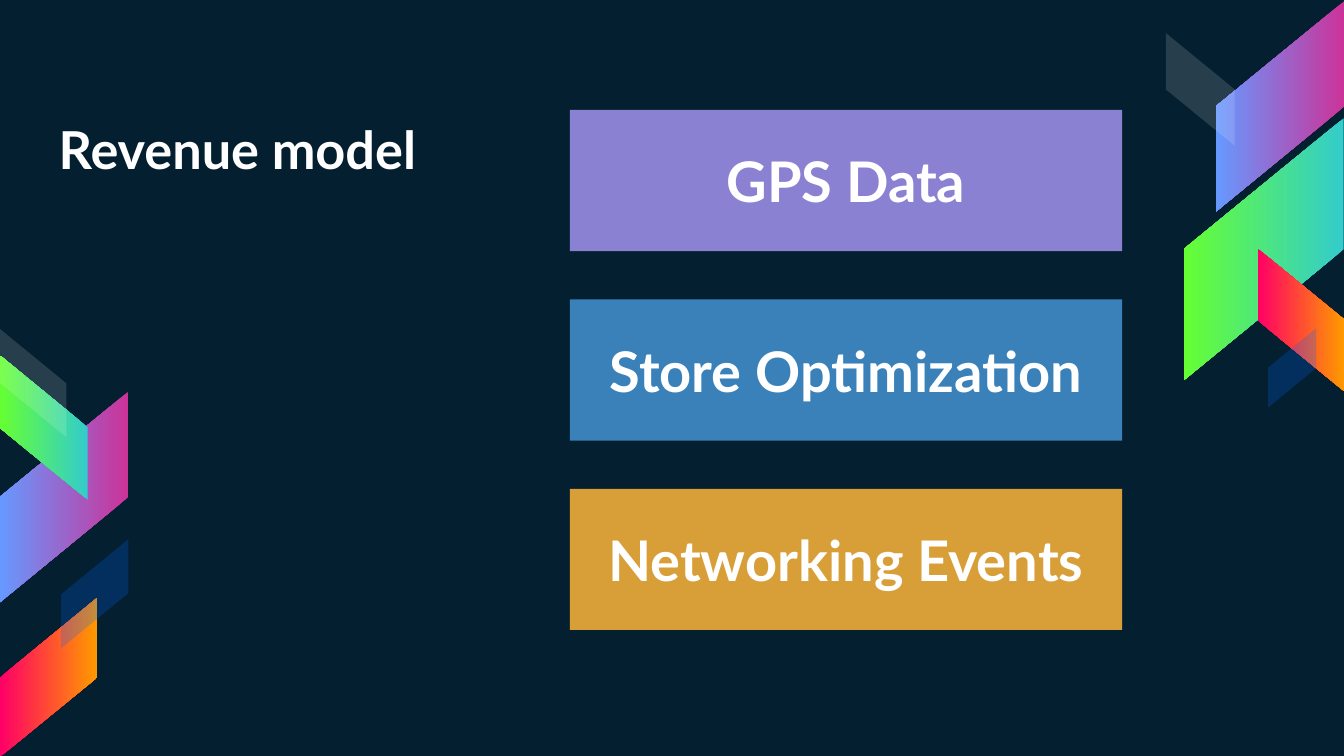
"""Build the revenue model slide with three bars and ribbon decorations."""
from dataclasses import dataclass
from typing import Any, Optional

import lxml.etree
import pptx
import pptx.dml.color
import pptx.enum.shapes
import pptx.enum.text
import pptx.oxml.ns
import pptx.util

Cm = pptx.util.Cm
RGBColor = pptx.dml.color.RGBColor
Kind = pptx.enum.shapes.MSO_SHAPE
Align = pptx.enum.text.PP_ALIGN
Anchor = pptx.enum.text.MSO_ANCHOR

NAVY = RGBColor(0x04, 0x1F, 0x30)
WHITE = RGBColor(0xFF, 0xFF, 0xFF)
VIOLET = RGBColor(0x8B, 0x81, 0xD2)
BLUE = RGBColor(0x3A, 0x81, 0xBA)
GOLD = RGBColor(0xD8, 0x9F, 0x39)
PINK = RGBColor(0xCC, 0x33, 0x99)
SKY = RGBColor(0x66, 0x99, 0xFF)
TEAL = RGBColor(0x33, 0xCC, 0xCC)
LIME = RGBColor(0x66, 0xFF, 0x33)
RED = RGBColor(0xFF, 0x00, 0x66)
AMBER = RGBColor(0xFF, 0x99, 0x00)
COBALT = RGBColor(0x00, 0x66, 0xFF)

FONT = {"name": "Lato", "bold": True}
FRAME = {
    "word_wrap": True,
    "auto_size": pptx.enum.text.MSO_AUTO_SIZE.NONE,
    **{f"margin_{side}": Cm(0.25) for side in ("left", "right", "top", "bottom")},
}


@dataclass(frozen=True)
class Paint:
    first: RGBColor
    last: Optional[RGBColor] = None
    alpha: int = 100


@dataclass(frozen=True)
class Ribbon:
    left: float
    top: float
    width: float
    height: float
    turn: int
    flip: bool
    paint: Paint


@dataclass(frozen=True)
class Bar:
    text: str
    color: RGBColor


DUSK = Paint(PINK, SKY)
MINT = Paint(TEAL, LIME)
FIRE = Paint(RED, AMBER)
MIST = Paint(WHITE, alpha=14)
DEEP = Paint(COBALT, alpha=23)

RIBBONS = (
    Ribbon(22.2, 0.79, 3.99, 2.44, 90, True, DUSK),
    Ribbon(21.41, 3.2, 4.95, 3.02, 90, True, MINT),
    Ribbon(23.24, 5.23, 2.69, 1.63, 270, False, FIRE),
    Ribbon(21.62, 1.04, 2.13, 1.3, 270, False, MIST),
    Ribbon(23.67, 6.5, 1.5, 0.91, 270, True, DEEP),
    Ribbon(-0.79, 8.18, 3.99, 2.44, 90, True, DUSK),
    Ribbon(-0.53, 7.26, 2.72, 1.65, 90, False, MINT),
    Ribbon(-0.58, 11.89, 3, 1.83, 270, True, FIRE),
    Ribbon(-0.41, 6.6, 2.06, 1.27, 270, False, MIST),
    Ribbon(0.76, 10.59, 2.06, 1.27, 270, True, DEEP),
)
BARS = (
    Bar("GPS Data", VIOLET),
    Bar("Store Optimization", BLUE),
    Bar("Networking Events", GOLD),
)


def apply(target: Any, values: dict[str, Any]) -> None:
    """Set each named attribute on the target."""
    for name, value in values.items():
        setattr(target, name, value)


def write(shape: Any, text: str, size: int, align: Any, anchor: Any) -> None:
    """Put one formatted line of text into a shape."""
    frame = shape.text_frame
    frame.text = text
    apply(frame, {**FRAME, "vertical_anchor": anchor})
    line = frame.paragraphs[0]
    line.alignment = align
    font = line.runs[0].font
    apply(font, {**FONT, "size": pptx.util.Pt(size)})
    font.color.rgb = WHITE


def add_shape(slide: Any, kind: Any, *box: float) -> Any:
    """Add a preset shape without line or shadow."""
    shape = slide.shapes.add_shape(kind, *map(Cm, box))
    shape.shadow.inherit = False
    shape.line.fill.background()
    return shape


def fill_shape(shape: Any, paint: Paint) -> None:
    """Fill a shape with a gradient or a translucent colour."""
    fill = shape.fill
    if paint.last is not None:
        fill.gradient()
        fill.gradient_angle = 270
        for stop, color in zip(fill.gradient_stops, (paint.first, paint.last)):
            stop.color.rgb = color
        return
    fill.solid()
    fill.fore_color.rgb = paint.first
    if paint.alpha < 100:
        qn = pptx.oxml.ns.qn
        color = shape.element.spPr.find(f"{qn('a:solidFill')}/{qn('a:srgbClr')}")
        lxml.etree.SubElement(color, qn("a:alpha")).set("val", str(paint.alpha * 1000))


def draw_ribbon(slide: Any, item: Ribbon) -> None:
    """Draw one slanted ribbon."""
    box = item.left, item.top, item.width, item.height
    shape = add_shape(slide, Kind.PARALLELOGRAM, *box)
    shape.adjustments[0] = 0.819
    shape.rotation = item.turn
    if item.flip:
        shape.element.spPr.xfrm.set("flipH", "1")
    fill_shape(shape, item.paint)


def draw_bar(slide: Any, row: int, bar: Bar) -> None:
    """Draw one labelled bar in its row."""
    shape = add_shape(slide, Kind.RECTANGLE, 10.77, 2.08 + 3.58 * row, 10.44, 2.67)
    fill_shape(shape, Paint(bar.color))
    write(shape, bar.text, 30, Align.CENTER, Anchor.MIDDLE)


def main() -> None:
    """Build and save the deck."""
    deck = pptx.Presentation()
    apply(deck, {"slide_width": Cm(25.4), "slide_height": Cm(14.29)})
    slide = deck.slides.add_slide(deck.slide_layouts[5])
    ground = slide.background.fill
    ground.solid()
    ground.fore_color.rgb = NAVY
    for item in RIBBONS:
        draw_ribbon(slide, item)
    title = slide.shapes.title
    place = {"left": 0.86, "top": 1.55, "width": 7.8, "height": 2.11}
    apply(title, {name: Cm(value) for name, value in place.items()})
    write(title, "Revenue model", 28, Align.LEFT, Anchor.BOTTOM)
    for row, bar in enumerate(BARS):
        draw_bar(slide, row, bar)
    deck.save("out.pptx")


if __name__ == "__main__":
    main()
